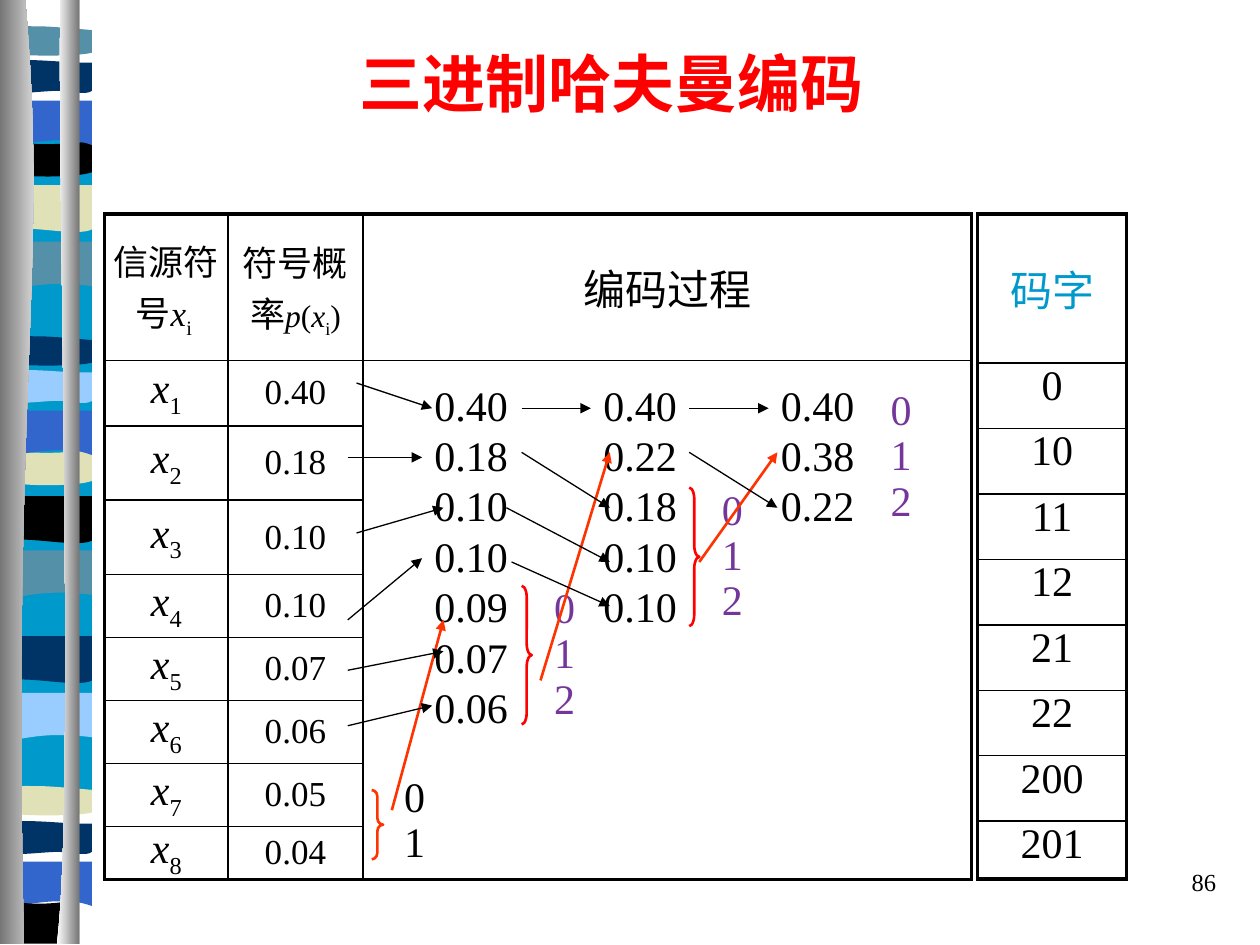
from dataclasses import dataclass

from lxml import etree
from pptx import Presentation
from pptx.dml.color import RGBColor
from pptx.enum import shapes, text
from pptx.oxml.ns import qn
from pptx.util import Inches, Pt


@dataclass(frozen=True)
class Theme:
    font: str = "Times New Roman"
    black: str = "000000"
    red: str = "FF0000"
    orange: str = "FF3300"
    purple: str = "74369A"
    cyan: str = "0099CC"
    teal: str = "5490A8"
    sand: str = "E1E1B7"
    blue: str = "3366CC"
    navy: str = "003366"
    sky: str = "99CCFF"
    white: str = "FFFFFF"
    grey: str = "767676"
    title: int = 36
    large: int = 24
    medium: int = 20
    small: int = 18
    number: int = 14


THEME = Theme()
STRIPE_LEFT, STRIPE_WIDTH, STRIPE_SQUEEZE = 0.03, 0.7, 0.75

# Outlines on a unit width: one point is a line, three points are a Bezier curve.
STRIPES = {
    "swell": [[(1, 0)], [(1, .47)], [(.3, .39), (.17, .55), (0, .47)], [(0, 0)]],
    "dip": [[(1, 0)], [(1, .47)], [(.83, .55), (.3, .42), (0, .47)], [(0, 0)]],
    "lens": [[(1, .05)], [(1, .29)], [(.83, .33), (.17, .33), (0, .29)], [(0, .05)],
             [(.07, 0), (.22, .01), (.39, .01)], [(.54, .01), (.86, .04), (1, .05)]],
    "bowl": [[(1, 0)], [(1, .32)], [(.83, .38), (.17, .38), (0, .32)], [(0, 0)],
             [(.61, .05), (.78, 0), (1, 0)]],
    "arch": [[(1, 0)], [(1, .47)], [(.85, .42), (.78, .42), (.61, .42)],
             [(.44, .42), (.15, .47), (0, .47)], [(0, 0)]],
    "band": [[(1, .06)], [(1, .36)], [(.93, .41), (.78, .36), (.61, .36)],
             [(.44, .36), (.1, .41), (0, .36)], [(0, .06)],
             [(.14, 0), (.68, .06), (.85, .06)], [(1, .06)]],
}
STRIPE_ORDER = [
    ("swell", 1.85, THEME.teal), ("dip", 1.4, THEME.sand), ("lens", .16, THEME.teal),
    ("bowl", 1.08, THEME.black), ("arch", .74, THEME.blue), ("band", .4, THEME.navy),
    ("swell", 4.3, THEME.teal), ("dip", 3.87, THEME.black), ("lens", 2.62, THEME.navy),
    ("bowl", 3.53, THEME.sand), ("arch", 3.2, THEME.blue), ("band", 2.86, THEME.sky),
    ("swell", 5.43, THEME.sky), ("dip", 4.98, THEME.navy), ("lens", 6.19, THEME.sand),
    ("arch", 6.78, THEME.blue), ("band", 6.44, THEME.navy),
]
BASE = [[(.03, 1.05)], [(.73, 1.05)], [(.73, 6.43)], [(.03, 6.43)]]
FOOT = [[(.62, 7.15)], [(.62, 7.49)], [(.03, 7.49)], [(.03, 7.15)],
        [(.39, 7.2), (.49, 7.15), (.62, 7.15)]]
LEFT_POLE = [[(.2, 0)], [(.39, 2.16), (.09, 2.96), (.19, 7.49)], [(0, 7.49)], [(0, 0)]]
RIGHT_POLE = [[(.48, 0)], [(.45, 1.25), (.6, 6.46), (.45, 7.49)], [(.63, 7.49)], [(.63, 0)]]


def color(value):
    return RGBColor.from_string(value)


def add_outline(slide, segments, fills):
    """Draw a closed outline on the master, with one colour or a left-to-right gradient."""
    points = [(Inches(x), Inches(y)) for segment in segments for x, y in segment]
    builder = slide.shapes.build_freeform(*points[0])
    builder.add_line_segments(points[1:], close=True)
    shape = builder.convert_to_shape()
    lines = iter(list(shape._element.iter(qn("a:lnTo"))))
    for segment in segments[1:]:
        first = next(lines)
        if len(segment) == 3:
            first.tag = qn("a:cubicBezTo")
            for line in (next(lines), next(lines)):
                first.append(line[0])
                line.getparent().remove(line)
    shape.shadow.inherit = False
    shape.line.fill.background()
    if len(fills) == 1:
        shape.fill.solid()
        shape.fill.fore_color.rgb = color(fills[0])
    else:
        shape.fill.gradient()
        shape.fill.gradient_angle = 0
        for stop, value in zip(shape.fill.gradient_stops, fills):
            stop.color.rgb = color(value)
    slide.slide_layout.slide_master.shapes._spTree.append(shape._element)


def add_side_decoration(slide):
    add_outline(slide, BASE, [THEME.cyan])
    for kind, top, fill in STRIPE_ORDER:
        middle = max(y for segment in STRIPES[kind] for _, y in segment) / 2
        outline = [[(STRIPE_LEFT + x * STRIPE_WIDTH,
                     top + middle + (y - middle) * STRIPE_SQUEEZE) for x, y in segment]
                   for segment in STRIPES[kind]]
        add_outline(slide, outline, [fill])
    add_outline(slide, FOOT, [THEME.black])
    add_outline(slide, LEFT_POLE, [THEME.grey, THEME.white])
    add_outline(slide, RIGHT_POLE, [THEME.white, THEME.grey])


def add_run(paragraph, wording, size, value=THEME.black, italic=False, bold=False, subscript=False):
    run = paragraph.add_run()
    run.text = wording
    font = run.font
    font.name, font.size, font.italic, font.bold = THEME.font, Pt(size), italic, bold
    font.color.rgb = color(value)
    if subscript:
        run._r.get_or_add_rPr().set("baseline", "-25000")


def add_lines(slide, box, lines, size=THEME.large, value=THEME.black, spacing=1.0, align=None):
    shape = slide.shapes.add_textbox(*map(Inches, box))
    frame = shape.text_frame
    frame.word_wrap = True
    for index, line in enumerate(lines):
        paragraph = frame.paragraphs[0] if index == 0 else frame.add_paragraph()
        paragraph.line_spacing, paragraph.alignment = spacing, align
        add_run(paragraph, line, size, value)


def set_borders(cell, widths):
    """Set left, right, top and bottom border widths in points; 0 means no line."""
    properties = cell._tc.get_or_add_tcPr()
    for index, (side, width) in enumerate(zip(("lnL", "lnR", "lnT", "lnB"), widths)):
        line = etree.Element(qn(f"a:{side}"), w=str(int(Pt(width))))
        if width:
            fill = etree.SubElement(line, qn("a:solidFill"))
            etree.SubElement(fill, qn("a:srgbClr"), val=THEME.black)
        else:
            etree.SubElement(line, qn("a:noFill"))
        properties.insert(index, line)


def add_grid(slide, box, columns, rows, open_from=99):
    """Add an unfilled ruled table; from column open_on the header and body cells are merged."""
    table = slide.shapes.add_table(len(rows), len(columns), *map(Inches, box)).table
    table.first_row = table.horz_banding = False
    for column, width in zip(table.columns, columns):
        column.width = Inches(width)
    for row, height in zip(table.rows, rows):
        row.height = Inches(height)
    last_row, last_column = len(rows) - 1, len(columns) - 1
    for r in range(len(rows)):
        for c in range(len(columns)):
            cell = table.cell(r, c)
            cell.fill.background()
            cell.margin_left = cell.margin_right = cell.margin_top = cell.margin_bottom = 0
            merged = c >= open_from
            at_right = c == last_column or (merged and r == 0)
            at_bottom = r == last_row or (merged and r > 0)
            set_borders(cell, (
                2.25 if c == 0 else 0 if c > open_from else 1,
                2.25 if at_right else 0 if merged else 1,
                2.25 if r == 0 else 0 if merged and r > 1 else 1,
                2.25 if at_bottom else 1))
    if open_from < last_column:
        table.cell(0, open_from).merge(table.cell(0, last_column))
        for c in range(open_from, last_column + 1):
            table.cell(1, c).merge(table.cell(last_row, c))
    return table


def fill_cell(cell, runs, anchor=text.MSO_ANCHOR.MIDDLE):
    cell.vertical_anchor = anchor
    paragraph = cell.text_frame.paragraphs[0]
    paragraph.alignment = text.PP_ALIGN.CENTER
    for wording, size, options in runs:
        add_run(paragraph, wording, size, **options)


def add_source_table(slide, box):
    table = add_grid(slide, box, [.98, 1.07, 1.5, 1.01, 1.16, 1.16],
                     [1.16, .52, .59, .59, .5, .5, .5, .5, .41], open_from=2)
    italic, subscript = {"italic": True}, {"subscript": True}
    medium, small, large = THEME.medium, THEME.small, THEME.large
    fill_cell(table.cell(0, 0), [("信源符号", medium, {}), ("x", medium, italic),
                                 ("i ", medium, subscript)])
    fill_cell(table.cell(0, 1), [("符号概率", medium, {}), ("p", small, italic), ("(", small, {}),
                                 ("x", small, italic), ("i", small, subscript), (")", small, {})])
    fill_cell(table.cell(0, 2), [("编码过程", large, {})])
    chances = ["0.40", "0.18", "0.10", "0.10", "0.07", "0.06", "0.05", "0.04"]
    for row, chance in enumerate(chances, 1):
        fill_cell(table.cell(row, 0), [("x", large, italic), (str(row), large, subscript)])
        fill_cell(table.cell(row, 1), [(chance, medium, {})])


def add_codeword_table(slide, box):
    table = add_grid(slide, box, [1.18], [1.18] + [.52] * 7 + [.46])
    fill_cell(table.cell(0, 0), [("码字", THEME.large, {"value": THEME.cyan})])
    for row, code in enumerate(["0", "10", "11", "12", "21", "22", "200", "201"], 1):
        fill_cell(table.cell(row, 0), [(code, THEME.large, {})], text.MSO_ANCHOR.TOP)


def add_arrow(slide, start, end, value, width):
    arrow = slide.shapes.add_connector(shapes.MSO_CONNECTOR.STRAIGHT, *map(Inches, start + end))
    arrow.line.color.rgb, arrow.line.width = color(value), Pt(width)
    etree.SubElement(arrow.line._get_or_add_ln(), qn("a:tailEnd"), type="triangle")
    etree.SubElement(arrow._element.spPr, qn("a:effectLst"))


def add_brace(slide, box, value, curve):
    brace = slide.shapes.add_shape(shapes.MSO_SHAPE.RIGHT_BRACE, *map(Inches, box))
    brace.shadow.inherit = False
    brace.fill.background()
    brace.line.color.rgb, brace.line.width = color(value), Pt(1.5)
    brace.adjustments[0] = curve


def add_coding_process(slide):
    columns = [(3.35, 2.93, "0.40 0.18 0.10 0.10 0.09 0.07 0.06"),
               (4.69, 2.12, "0.40 0.22 0.18 0.10 0.10"), (6.1, 1.31, "0.40 0.38 0.22")]
    for left, height, values in columns:
        add_lines(slide, (left, 2.96, .87, height), values.split())
    add_lines(slide, (3.11, 6.11, .32, .83), "01", spacing=.9)
    for left, top in [(4.3, 4.61), (5.63, 3.83), (6.97, 3.04)]:
        add_lines(slide, (left, top, .32, 1.19), "012", value=THEME.purple, spacing=.9)
    add_brace(slide, (2.95, 6.27, .09, .55), THEME.orange, .58)
    for left, top in [(4.14, 4.65), (5.47, 3.87)]:
        add_brace(slide, (left, top, .08, 1.1), THEME.red, 1.15)
    for start, end in [((3.11, 6.43), (3.52, 4.92)), ((4.29, 5.4), (4.84, 3.59)),
                       ((5.55, 4.46), (6.17, 3.59))]:
        add_arrow(slide, start, end, THEME.orange, 1.5)
    for start, end in [
            ((4.14, 3.24), (4.69, 3.24)), ((4.14, 3.59), (4.84, 4.03)),
            ((4.02, 4.03), (4.84, 4.46)), ((4.06, 4.46), (4.84, 4.81)),
            ((5.47, 3.24), (6.1, 3.24)), ((5.47, 3.59), (6.17, 4.03)),
            ((2.83, 3.04), (3.43, 3.24)), ((2.76, 3.63), (3.35, 3.63)),
            ((2.83, 4.23), (3.52, 4.03)), ((2.76, 4.92), (3.35, 4.43)),
            ((2.76, 5.32), (3.52, 5.17)), ((2.76, 5.76), (3.43, 5.6))]:
        add_arrow(slide, start, end, THEME.black, .75)


def add_title(slide, box):
    title = slide.shapes.title
    title.left, title.top, title.width, title.height = map(Inches, box)
    title.text_frame.vertical_anchor = text.MSO_ANCHOR.MIDDLE
    paragraph = title.text_frame.paragraphs[0]
    paragraph.alignment = text.PP_ALIGN.CENTER
    add_run(paragraph, "三进制哈夫曼编码", THEME.title, THEME.red, bold=True)


def main():
    presentation = Presentation()
    presentation.slide_width, presentation.slide_height = Inches(10), Inches(7.5)
    slide = presentation.slides.add_slide(presentation.slide_layouts[5])
    add_side_decoration(slide)
    add_title(slide, (.4, .2, 8.9, .91))
    add_source_table(slide, (.83, 1.7, 6.89, 5.28))
    add_codeword_table(slide, (7.76, 1.7, 1.18, 5.28))
    add_coding_process(slide)
    add_lines(slide, (7.67, 6.83, 2.08, .5), ["86"], THEME.number, align=text.PP_ALIGN.RIGHT)
    presentation.save("out.pptx")


if __name__ == "__main__":
    main()
